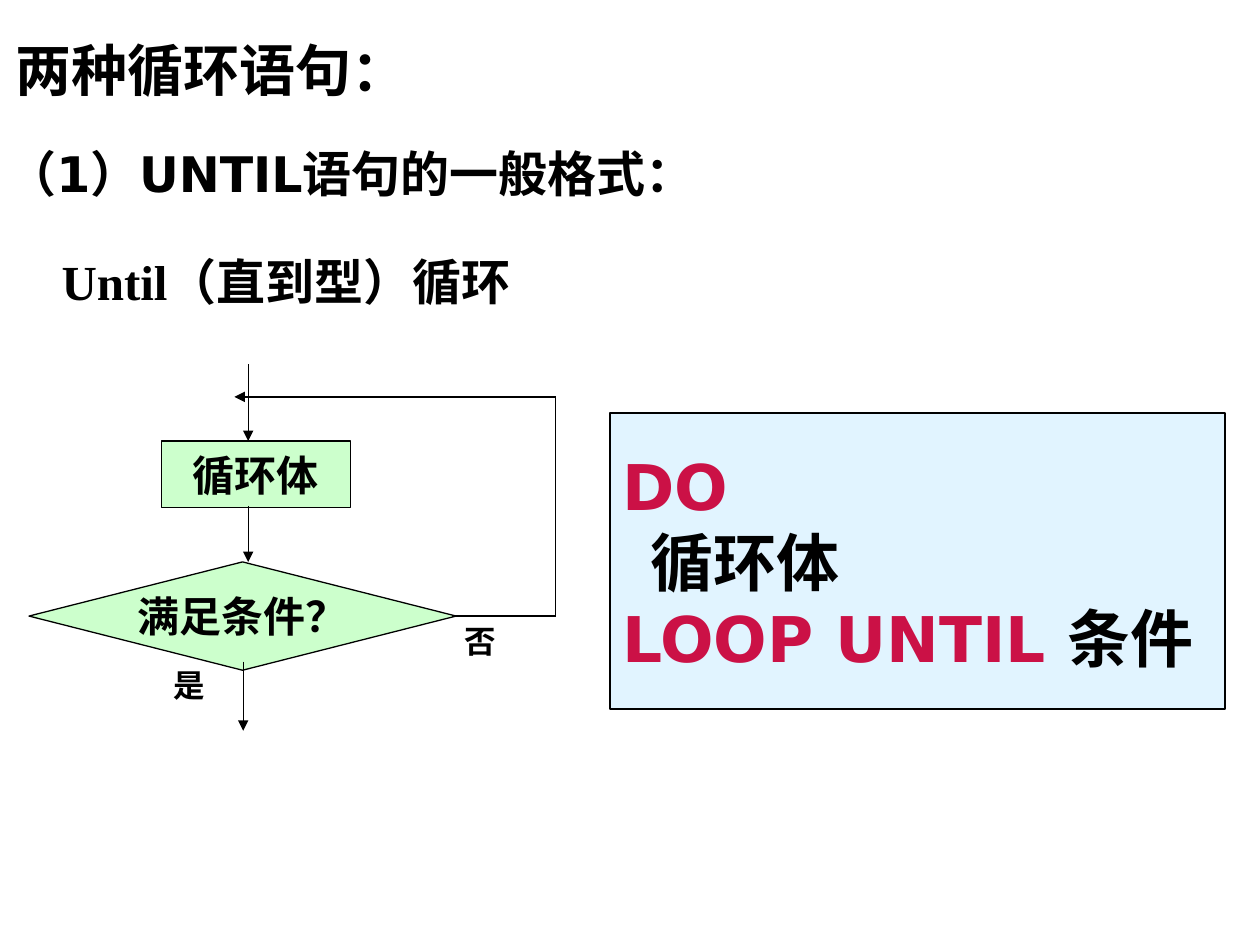
from lxml import etree
from pptx import Presentation
from pptx.dml.color import RGBColor
from pptx.enum.shapes import MSO_CONNECTOR, MSO_SHAPE
from pptx.enum.text import MSO_ANCHOR, MSO_AUTO_SIZE, PP_ALIGN
from pptx.oxml.ns import qn
from pptx.util import Inches, Pt

STRAIGHT = MSO_CONNECTOR.STRAIGHT
RECT, PROCESS, DECISION = (
    MSO_SHAPE.RECTANGLE, MSO_SHAPE.FLOWCHART_PROCESS, MSO_SHAPE.FLOWCHART_DECISION)
TOP, MIDDLE = MSO_ANCHOR.TOP, MSO_ANCHOR.MIDDLE
LEFT, CENTER = PP_ALIGN.LEFT, PP_ALIGN.CENTER
NO_FIT = MSO_AUTO_SIZE.NONE

SERIF, SANS, CJK = "Times New Roman", "DejaVu Sans", "Noto Sans CJK SC"
BLACK, RED, GREEN, BLUE = "000000", "CB1146", "CCFFCC", "E1F4FF"


def rgb(value):
    return RGBColor.from_string(value)


def place(s, left, top, width, height):
    s.left, s.top = Inches(left), Inches(top)
    s.width, s.height = Inches(width), Inches(height)


def write(s, lines, size, font, align=LEFT, anchor=TOP, wrap=True):
    tf = s.text_frame
    tf.auto_size = NO_FIT
    tf.word_wrap = wrap
    tf.vertical_anchor = anchor
    for i, line in enumerate(lines):
        p = tf.add_paragraph() if i else tf.paragraphs[0]
        p.alignment = align
        for text, color in line:
            r = p.add_run()
            r.text = text
            r.font.size = Pt(size)
            r.font.bold = True
            r.font.name = font
            r.font.color.rgb = rgb(color)
            etree.SubElement(r.font._element, qn("a:ea"), typeface=CJK)


def add_label(slide, text, box, size, font):
    s = slide.shapes.add_textbox(*map(Inches, box))
    write(s, [[(text, BLACK)]], size, font)


def add_box(slide, kind, box, fill, line_width):
    s = slide.shapes.add_shape(kind, *map(Inches, box))
    s.shadow.inherit = False
    s.fill.solid()
    s.fill.fore_color.rgb = rgb(fill)
    s.line.color.rgb = rgb(BLACK)
    s.line.width = Pt(line_width)
    return s


def add_line(slide, start, end, arrow=False, width=0.75):
    c = slide.shapes.add_connector(STRAIGHT, *map(Inches, start + end))
    c.line.color.rgb = rgb(BLACK)
    c.line.width = Pt(width)
    if arrow:
        etree.SubElement(c.line._get_or_add_ln(), qn("a:tailEnd"), type="triangle")
    etree.SubElement(c._element.spPr, qn("a:effectLst"))


def add_title(slide, text):
    s = slide.shapes.title
    place(s, 0.02, 0.23, 3.31, 0.64)
    write(s, [[(text, BLACK)]], 32, CJK, wrap=False)


def add_code(slide):
    s = add_box(slide, RECT, (4.84, 3.28, 4.88, 2.35), BLUE, 1)
    lines = [[("DO", RED)],
             [("  循环体", BLACK)],
             [("LOOP UNTIL ", RED), ("条件", BLACK)]]
    write(s, lines, 36, SANS, anchor=MIDDLE, wrap=False)


def add_flowchart(slide):
    for kind, text, box in (
            (PROCESS, "循环体", (1.28, 3.5, 1.5, 0.53)),
            (DECISION, "满足条件？", (0.23, 4.46, 3.39, 0.86))):
        s = add_box(slide, kind, box, GREEN, 0.75)
        write(s, [[(text, BLACK)]], 24, SERIF, CENTER, MIDDLE, False)

    flow_x, exit_x, return_x = 1.97, 1.93, 4.41
    return_y, decision_y = 3.15, 4.89
    add_line(slide, (flow_x, 2.89), (flow_x, 3.5), True)
    add_line(slide, (flow_x, 4.02), (flow_x, 4.46), True)
    add_line(slide, (exit_x, 5.25), (exit_x, 5.8), True)
    add_line(slide, (3.59, decision_y), (return_x, decision_y), width=1)
    add_line(slide, (return_x, decision_y), (return_x, return_y))
    add_line(slide, (return_x, return_y), (1.86, return_y), True)

    add_label(slide, "否", (3.59, 4.89, 0.7, 0.4), 18, SERIF)
    add_label(slide, "是", (1.28, 5.24, 0.69, 0.4), 18, SERIF)


def main():
    prs = Presentation()
    prs.slide_width, prs.slide_height = Inches(10), Inches(7.5)
    slide = prs.slides.add_slide(prs.slide_layouts[5])
    add_title(slide, "两种循环语句：")
    add_label(slide, "（1）UNTIL语句的一般格式：", (-0.04, 1.09, 5.88, 0.57), 28, SANS)
    add_label(slide, "Until（直到型）循环", (0.39, 1.95, 4.38, 0.57), 28, SERIF)
    add_code(slide)
    add_flowchart(slide)
    prs.save("out.pptx")


if __name__ == "__main__":
    main()
